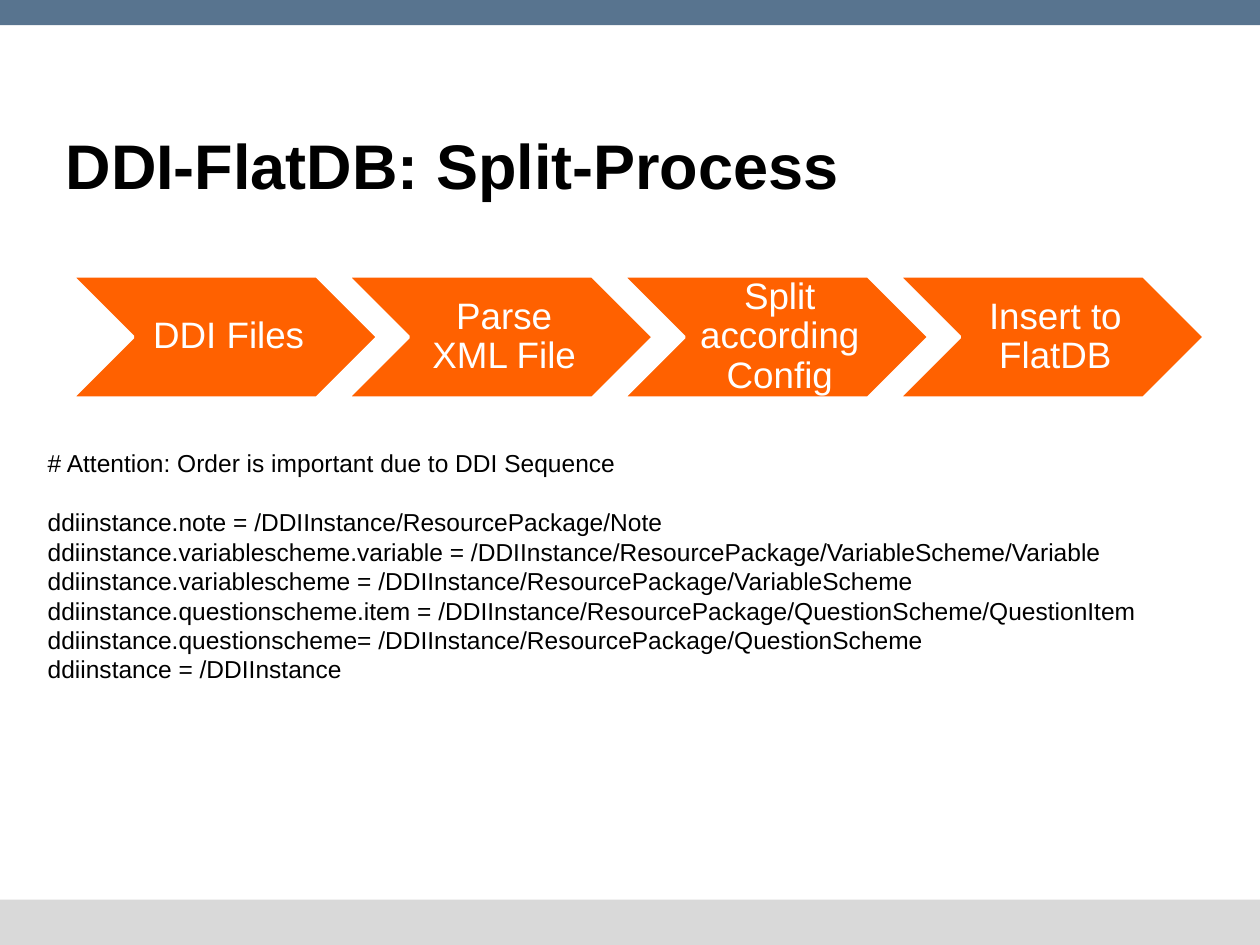
"""Build the DDI-FlatDB split-process slide."""
from dataclasses import dataclass

from pptx import Presentation
from pptx.dml.color import RGBColor
from pptx.enum.shapes import MSO_SHAPE
from pptx.enum.text import MSO_ANCHOR, PP_ALIGN
from pptx.util import Inches, Pt


@dataclass(frozen=True)
class Theme:
    font: str = "Arial"
    text: str = "000000"
    light: str = "FFFFFF"
    accent: str = "FF6100"
    header: str = "58748F"
    footer: str = "D9D9D9"
    title_size: int = 36
    step_size: int = 21
    rule_size: int = 14
    rule_pitch: float = 16.8


THEME = Theme()
WIDTH, HEIGHT = 10, 7.5
TITLE = "DDI-FlatDB: Split-Process"
STEPS = ["DDI Files", "Parse XML File", "Split according Config", "Insert to FlatDB"]
NOTE = "# Attention: Order is important due to DDI Sequence"
RULES = [
    "ddiinstance.note = /DDIInstance/ResourcePackage/Note",
    "ddiinstance.variablescheme.variable = /DDIInstance/ResourcePackage/VariableScheme/Variable",
    "ddiinstance.variablescheme = /DDIInstance/ResourcePackage/VariableScheme",
    "ddiinstance.questionscheme.item = /DDIInstance/ResourcePackage/QuestionScheme/QuestionItem",
    "ddiinstance.questionscheme= /DDIInstance/ResourcePackage/QuestionScheme",
    "ddiinstance = /DDIInstance",
]
BARS = [(0, 0.2, THEME.header), (7.14, 0.36, THEME.footer)]
STEP_LEFT, STEP_TOP, STEP_WIDTH, STEP_HEIGHT = 0.57, 2.19, 2.43, 0.97
STEP_PITCH = 0.9 * STEP_WIDTH


def style(p, size, color, bold=False):
    """Set the font of a paragraph."""
    p.font.name, p.font.size, p.font.bold = THEME.font, Pt(size), bold
    p.font.color.rgb = RGBColor.from_string(color)


def add_block(s, kind, box, fill):
    """Add a filled preset shape without line or shadow."""
    sp = s.shapes.add_shape(kind, *map(Inches, box))
    sp.shadow.inherit = False
    sp.fill.solid()
    sp.fill.fore_color.rgb = RGBColor.from_string(fill)
    sp.line.fill.background()
    return sp


def add_title(s):
    """Place and format the title placeholder."""
    sp = s.shapes.title
    sp.left, sp.top, sp.width, sp.height = map(Inches, (0.42, 0.92, 9, 1.25))
    tf = sp.text_frame
    tf.text = TITLE
    tf.vertical_anchor = MSO_ANCHOR.TOP
    tf.margin_top = Inches(0.08)
    tf.paragraphs[0].alignment = PP_ALIGN.LEFT
    style(tf.paragraphs[0], THEME.title_size, THEME.text, bold=True)


def add_step(s, index, label):
    """Add one chevron of the process row."""
    left = STEP_LEFT + index * STEP_PITCH
    box = (left, STEP_TOP, STEP_WIDTH, STEP_HEIGHT)
    sp = add_block(s, MSO_SHAPE.CHEVRON, box, THEME.accent)
    sp.line.color.rgb = RGBColor.from_string(THEME.light)
    sp.line.width = Pt(2)
    tf = sp.text_frame
    tf.text = label
    tf.word_wrap = True
    tf.vertical_anchor = MSO_ANCHOR.MIDDLE
    tf.margin_left = Inches(0.09)
    tf.margin_right = tf.margin_top = tf.margin_bottom = Inches(0.03)
    p = tf.paragraphs[0]
    p.alignment, p.line_spacing = PP_ALIGN.CENTER, 0.9
    style(p, THEME.step_size, THEME.light)


def add_rules(s):
    """Add the note and the path rules below it."""
    tf = s.shapes.add_textbox(*map(Inches, (0.28, 3.51, 8.88, 2.29))).text_frame
    tf.word_wrap = False
    tf.text = "\n".join([NOTE, *RULES])
    for p in tf.paragraphs:
        p.line_spacing = Pt(THEME.rule_pitch)
        style(p, THEME.rule_size, THEME.text)
    tf.paragraphs[1].space_before = Pt(THEME.rule_pitch)


def main():
    """Assemble and save the slide."""
    prs = Presentation()
    prs.slide_width, prs.slide_height = Inches(WIDTH), Inches(HEIGHT)
    s = prs.slides.add_slide(prs.slide_layouts[5])
    for top, height, fill in BARS:
        add_block(s, MSO_SHAPE.RECTANGLE, (0, top, WIDTH, height), fill)
    add_title(s)
    for index, label in enumerate(STEPS):
        add_step(s, index, label)
    add_rules(s)
    prs.save("out.pptx")


if __name__ == "__main__":
    main()
